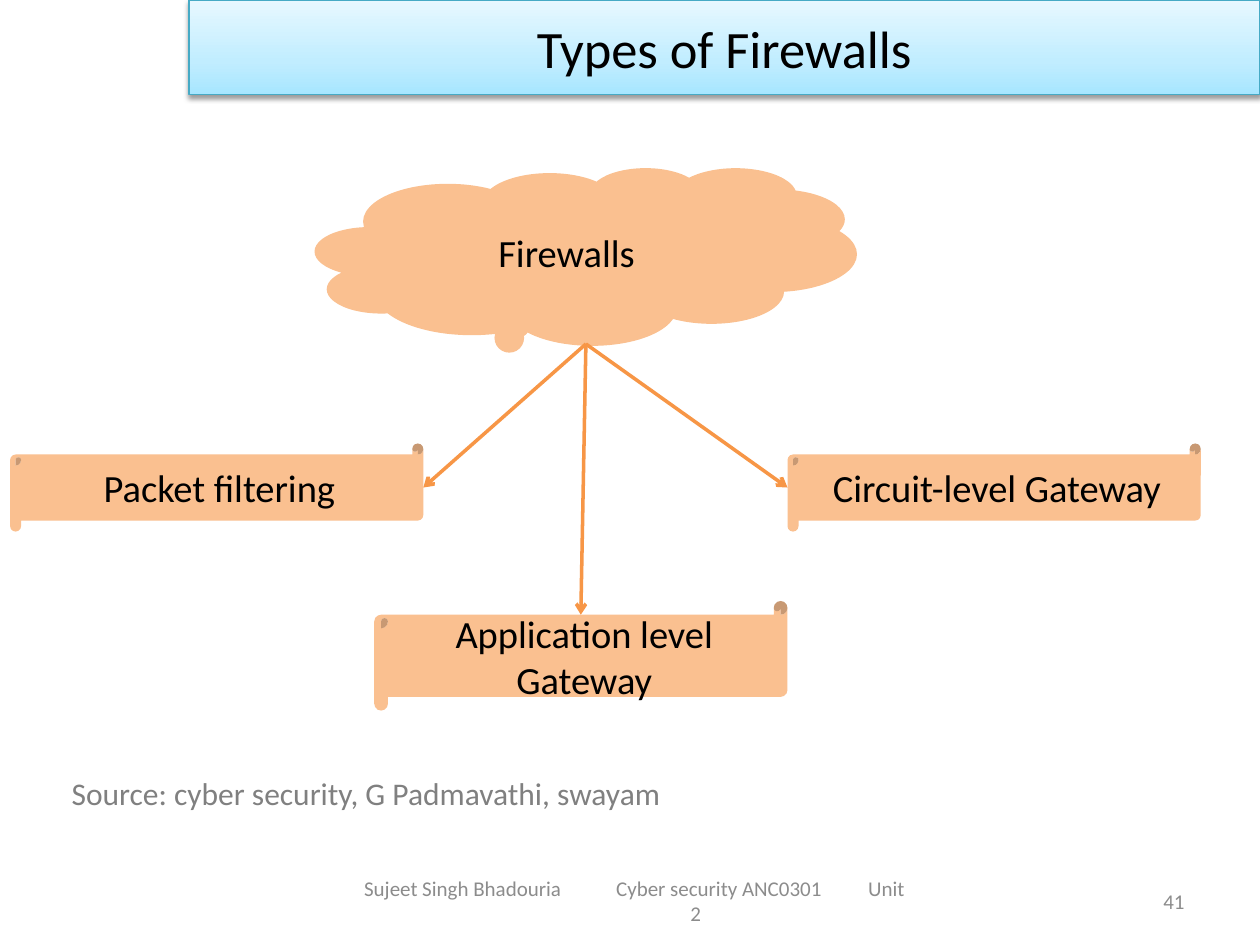
from lxml import etree
from pptx import Presentation
from pptx.dml.color import RGBColor
from pptx.enum.shapes import MSO_CONNECTOR, MSO_SHAPE
from pptx.enum.text import MSO_ANCHOR, PP_ALIGN
from pptx.oxml import parse_xml
from pptx.oxml.ns import nsdecls, qn
from pptx.util import Inches, Pt

STRAIGHT = MSO_CONNECTOR.STRAIGHT
RECTANGLE = MSO_SHAPE.RECTANGLE
CLOUD = MSO_SHAPE.CLOUD_CALLOUT
SCROLL = MSO_SHAPE.HORIZONTAL_SCROLL
MIDDLE = MSO_ANCHOR.MIDDLE
LEFT, CENTER, RIGHT = PP_ALIGN.LEFT, PP_ALIGN.CENTER, PP_ALIGN.RIGHT
TOP_SIDE, LEFT_SIDE, RIGHT_SIDE = 0, 1, 3

BLACK = RGBColor(0x00, 0x00, 0x00)
PEACH = RGBColor(0xFA, 0xC0, 0x90)
ORANGE = RGBColor(0xF7, 0x96, 0x46)
TEAL = RGBColor(0x46, 0xAA, 0xC5)
SOURCE_GRAY = RGBColor(0x80, 0x80, 0x80)
FOOTER_GRAY = RGBColor(0x8C, 0x8C, 0x8C)
BANNER_STOPS = ((0, "A7E6FF"), (35, "C1EDFF"), (100, "E7F8FF"))

presentation = Presentation()
presentation.slide_width = Inches(10)
presentation.slide_height = Inches(7.5)
slide = presentation.slides.add_slide(presentation.slide_layouts[6])

# The slide is a grid of 100 columns by 100 rows.
COLUMN = presentation.slide_width / 100
ROW = presentation.slide_height / 100


def grid(left, top, width, height):
    """Turn columns and rows into slide lengths."""
    return [int(length) for length in (left * COLUMN, top * ROW, width * COLUMN, height * ROW)]


def write(shape, lines, size, color, alignments=(CENTER,)):
    frame = shape.text_frame
    frame.word_wrap = True
    frame.vertical_anchor = MIDDLE
    frame.text = "\n".join(lines)
    for paragraph, alignment in zip(frame.paragraphs, alignments):
        paragraph.alignment = alignment
        paragraph.font.name = "Calibri"
        paragraph.font.size = Pt(size)
        paragraph.font.color.rgb = color


# Footer: three tabbed parts, with the unit number centred below
footer = slide.shapes.add_textbox(*grid(27.5, 92.67, 55, 5.33))
footer.text_frame.margin_left = Inches(0.14)
footer.text_frame.text = ""
tabs = etree.SubElement(footer.text_frame.paragraphs[0]._p.get_or_add_pPr(), qn("a:tabLst"))
for position in (19, 49.2):
    etree.SubElement(tabs, qn("a:tab"), pos=str(int(position * COLUMN)), algn="l")
write(footer, ["Sujeet Singh Bhadouria\tCyber security ANC0301\tUnit", "2"],
      12, FOOTER_GRAY, (LEFT, CENTER))

page_number = slide.shapes.add_textbox(*grid(71.7, 92.67, 23.3, 5.33))
write(page_number, ["41"], 12, FOOTER_GRAY, (RIGHT,))

# Title banner
banner = slide.shapes.add_shape(RECTANGLE, *grid(15, 0, 85, 10))
banner.shadow.inherit = False
banner.fill.gradient()
banner.fill.gradient_angle = 90
banner.line.color.rgb = TEAL
banner.line.width = Pt(0.75)
properties = banner._element.spPr
stops = properties.find(qn("a:gradFill")).find(qn("a:gsLst"))
for stop in list(stops):
    stops.remove(stop)
for percent, color in BANNER_STOPS:
    stop = etree.SubElement(stops, qn("a:gs"), pos=str(percent * 1000))
    etree.SubElement(stop, qn("a:srgbClr"), val=color)
properties.find(qn("a:effectLst")).append(parse_xml(
    f'<a:outerShdw {nsdecls("a")} blurRad="{Pt(3.1)}" dist="{Pt(1.6)}" dir="5400000" rotWithShape="0">'
    '<a:srgbClr val="000000"><a:alpha val="38000"/></a:srgbClr></a:outerShdw>'))
write(banner, ["Types of Firewalls"], 30, BLACK)

# Firewalls cloud and its three types
SCROLL_WIDTH = 32.8
MIDDLE_LEFT = 29.7
nodes = {}
for name, preset, place in (
    ("Firewalls", CLOUD, (25, 17.73, 43, 18.8)),
    ("Packet filtering", SCROLL, (0.8, 46.93, SCROLL_WIDTH, 9.33)),
    ("Circuit-level Gateway", SCROLL, (MIDDLE_LEFT + SCROLL_WIDTH, 46.93, SCROLL_WIDTH, 9.33)),
    ("Application level Gateway", SCROLL, (MIDDLE_LEFT, 63.6, SCROLL_WIDTH, 11.6)),
):
    node = slide.shapes.add_shape(preset, *grid(*place))
    node.shadow.inherit = False
    node.fill.solid()
    node.fill.fore_color.rgb = PEACH
    node.line.fill.background()
    write(node, [name], 22, BLACK)
    nodes[name] = node
cloud = nodes["Firewalls"]
cloud.adjustments[0] = -0.117
cloud.adjustments[1] = 0.38

# Arrows from the foot of the cloud
for name, side in (("Packet filtering", RIGHT_SIDE), ("Circuit-level Gateway", LEFT_SIDE),
                   ("Application level Gateway", TOP_SIDE)):
    target = nodes[name]
    start = grid(46.5, 36.4, 0, 0)[:2]
    arrow = slide.shapes.add_connector(STRAIGHT, *start, *start)
    arrow.end_connect(target, side)
    if side == TOP_SIDE:
        arrow.end_y = target.top + target.height // 8  # below the scroll's curl
    arrow.line.color.rgb = ORANGE
    arrow.line.width = Pt(2)
    etree.SubElement(arrow.line._get_or_add_ln(), qn("a:tailEnd"), type="arrow")
    etree.SubElement(arrow._element.spPr, qn("a:effectLst"))

source = slide.shapes.add_textbox(*grid(4.7, 81.2, 49.3, 5.33))
write(source, ["Source: cyber security, G Padmavathi, swayam"], 18, SOURCE_GRAY, (LEFT,))
source.text_frame.word_wrap = False

presentation.save("out.pptx")
